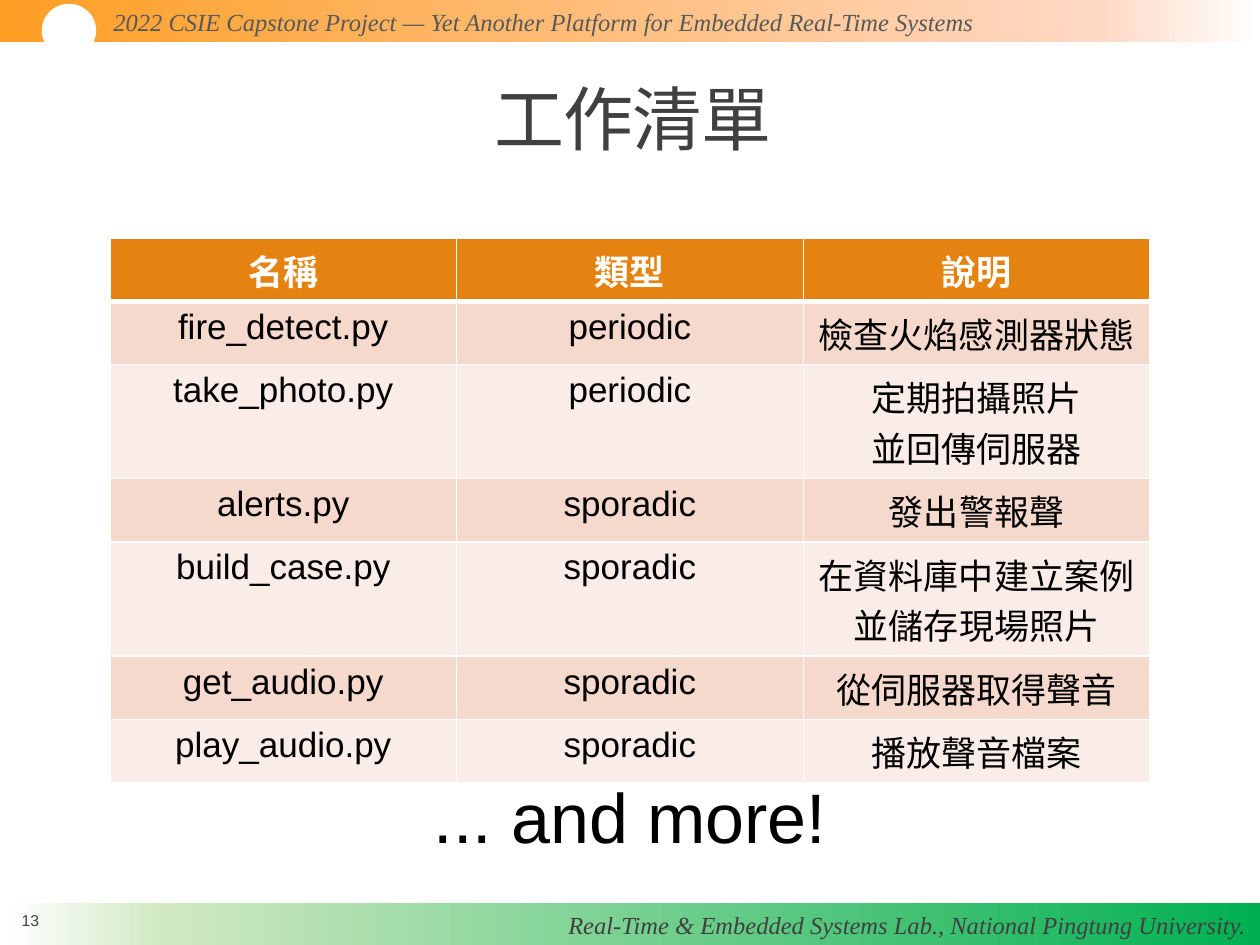
from lxml import etree
from pptx import Presentation
from pptx.dml.color import RGBColor
from pptx.enum.shapes import MSO_SHAPE
from pptx.enum.text import MSO_ANCHOR, PP_ALIGN
from pptx.oxml.ns import qn
from pptx.util import Emu, Pt

PX = 914400 / 126
LEFT, CENTER, RIGHT = PP_ALIGN.LEFT, PP_ALIGN.CENTER, PP_ALIGN.RIGHT
TOP, MIDDLE = MSO_ANCHOR.TOP, MSO_ANCHOR.MIDDLE
RECTANGLE, OVAL = MSO_SHAPE.RECTANGLE, MSO_SHAPE.OVAL
SANS, SERIF, CJK = "Arial", "Times New Roman", "Noto Sans CJK SC"
WHITE, BLACK, DARK = "FFFFFF", "000000", "404040"
HEADER_FILL, BAND_FILLS = "E48312", ("F5D9CC", "FAEDE7")
LINE_HEIGHT = 51

TASKS = [
    ("名稱", "類型", "說明"),
    ("fire_detect.py", "periodic", "檢查火焰感測器狀態"),
    ("take_photo.py", "periodic", "定期拍攝照片\n並回傳伺服器"),
    ("alerts.py", "sporadic", "發出警報聲"),
    ("build_case.py", "sporadic", "在資料庫中建立案例\n並儲存現場照片"),
    ("get_audio.py", "sporadic", "從伺服器取得聲音"),
    ("play_audio.py", "sporadic", "播放聲音檔案"),
]


def px(length):
    """Turn pixels into EMU."""
    return Emu(round(length * PX))


def rgb(value):
    """Turn a hex string into a colour."""
    return RGBColor.from_string(value)


def write(frame, text, size, color, font=SANS, align=CENTER, bold=False, italic=False):
    """Write each line of text as one formatted paragraph and return the runs."""
    runs = []
    for number, line in enumerate(text.split("\n")):
        paragraph = frame.add_paragraph() if number else frame.paragraphs[0]
        paragraph.alignment = align
        run = paragraph.add_run()
        run.text = line
        run.font.size, run.font.name = Pt(size), font
        run.font.bold, run.font.italic = bold, italic
        run.font.color.rgb = rgb(color)
        etree.SubElement(run.font._element, qn("a:ea"), typeface=CJK)
        runs.append(run)
    return runs


def add_label(slide, box, text, size, color, anchor=TOP, **style):
    """Add a wrapped text box."""
    frame = slide.shapes.add_textbox(*map(px, box)).text_frame
    frame.word_wrap = True
    frame.vertical_anchor = anchor
    write(frame, text, size, color, **style)


def add_strip(slide, box, colors, angle):
    """Add a strip that fades through three colours."""
    strip = slide.shapes.add_shape(RECTANGLE, *map(px, box))
    strip.shadow.inherit = False
    strip.line.fill.background()
    strip.fill.gradient()
    strip.fill.gradient_angle = angle
    stops = strip._element.spPr.find(".//" + qn("a:gsLst"))
    for stop in list(stops):
        stops.remove(stop)
    for position, color in zip((0, 87, 100), colors):
        stop = etree.SubElement(stops, qn("a:gs"), pos=str(position * 1000))
        etree.SubElement(stop, qn("a:srgbClr"), val=color)


def add_header(slide, box):
    """Add the orange strip with its white disc and project name."""
    left, top, width, height = box
    add_strip(slide, box, ("FE9E24", "FFD8C4", WHITE), 0)
    add_label(slide, (left + 101, top + 1, 1087, height),
              "2022 CSIE Capstone Project — Yet Another Platform for Embedded Real-Time Systems",
              14, "595959", font=SERIF, align=LEFT, italic=True)
    disc = slide.shapes.add_shape(OVAL, *map(px, (left + 44, top + 6, 50, 49)))
    disc.shadow.inherit = False
    disc.fill.solid()
    disc.fill.fore_color.rgb = rgb(WHITE)
    disc.line.color.rgb = rgb(WHITE)
    disc.line.width = Pt(2.5)


def add_footer(slide, box):
    """Add the green strip with the lab name and page number."""
    left, top, width, height = box
    add_strip(slide, box, ("00B050", "D0E9C1", WHITE), 180)
    add_label(slide, (left + 97, top + 1, 1158, height),
              "Real-Time & Embedded Systems Lab., National Pingtung University.",
              14, DARK, font=SERIF, align=RIGHT, italic=True)
    add_label(slide, (left - 4, top - 8, 61, 50), "13", 9, "424242", anchor=MIDDLE)


def place_title(slide, box, text):
    """Move the title placeholder to the box and fill it."""
    title = slide.shapes.title
    title.left, title.top, title.width, title.height = map(px, box)
    frame = title.text_frame
    frame.vertical_anchor = MIDDLE
    for run in write(frame, text, 40, DARK, font=CJK):
        run.font._element.set("spc", "-50")
    frame.paragraphs[0].line_spacing = 0.85


def set_borders(cell, top, bottom):
    """Draw white cell borders, with top and bottom widths in points."""
    properties = cell._tc.get_or_add_tcPr()
    for side, width in (("L", 1), ("R", 1), ("T", top), ("B", bottom)):
        line = etree.SubElement(properties, qn("a:ln" + side), w=str(Pt(width)))
        fill = etree.SubElement(line, qn("a:solidFill"))
        etree.SubElement(fill, qn("a:srgbClr"), val=WHITE)


def add_task_table(slide, box, tasks):
    """Add the banded table of tasks, each row as tall as its lines need."""
    table = slide.shapes.add_table(len(tasks), len(tasks[0]), *map(px, box)).table
    for column in table.columns:
        column.width = px(box[2] / len(tasks[0]))
    line_counts = [max(text.count("\n") + 1 for text in task) for task in tasks]
    padding = (box[3] - LINE_HEIGHT * sum(line_counts)) / len(tasks)
    for number, task in enumerate(tasks):
        table.rows[number].height = px(LINE_HEIGHT * line_counts[number] + padding)
        is_header = number == 0
        for cell, text in zip(table.rows[number].cells, task):
            set_borders(cell, 3 if number == 1 else 1, 3 if is_header else 1)
            cell.fill.solid()
            cell.fill.fore_color.rgb = rgb(HEADER_FILL if is_header else BAND_FILLS[(number - 1) % 2])
            write(cell.text_frame, text, 20, WHITE if is_header else BLACK, bold=is_header)


def main():
    """Build and save the task list slide."""
    deck = Presentation()
    deck.slide_width, deck.slide_height = px(1260), px(945)
    slide = deck.slides.add_slide(deck.slide_layouts[5])
    add_footer(slide, (4, 903, 1256, 42))
    add_header(slide, (0, 0, 1260, 42))
    place_title(slide, (113, 73, 1040, 103), "工作清單")
    add_task_table(slide, (110, 238, 1040, 545), TASKS)
    add_label(slide, (331, 767, 598, 97), "... and more!", 40, BLACK, anchor=MIDDLE)
    deck.save("out.pptx")


if __name__ == "__main__":
    main()
